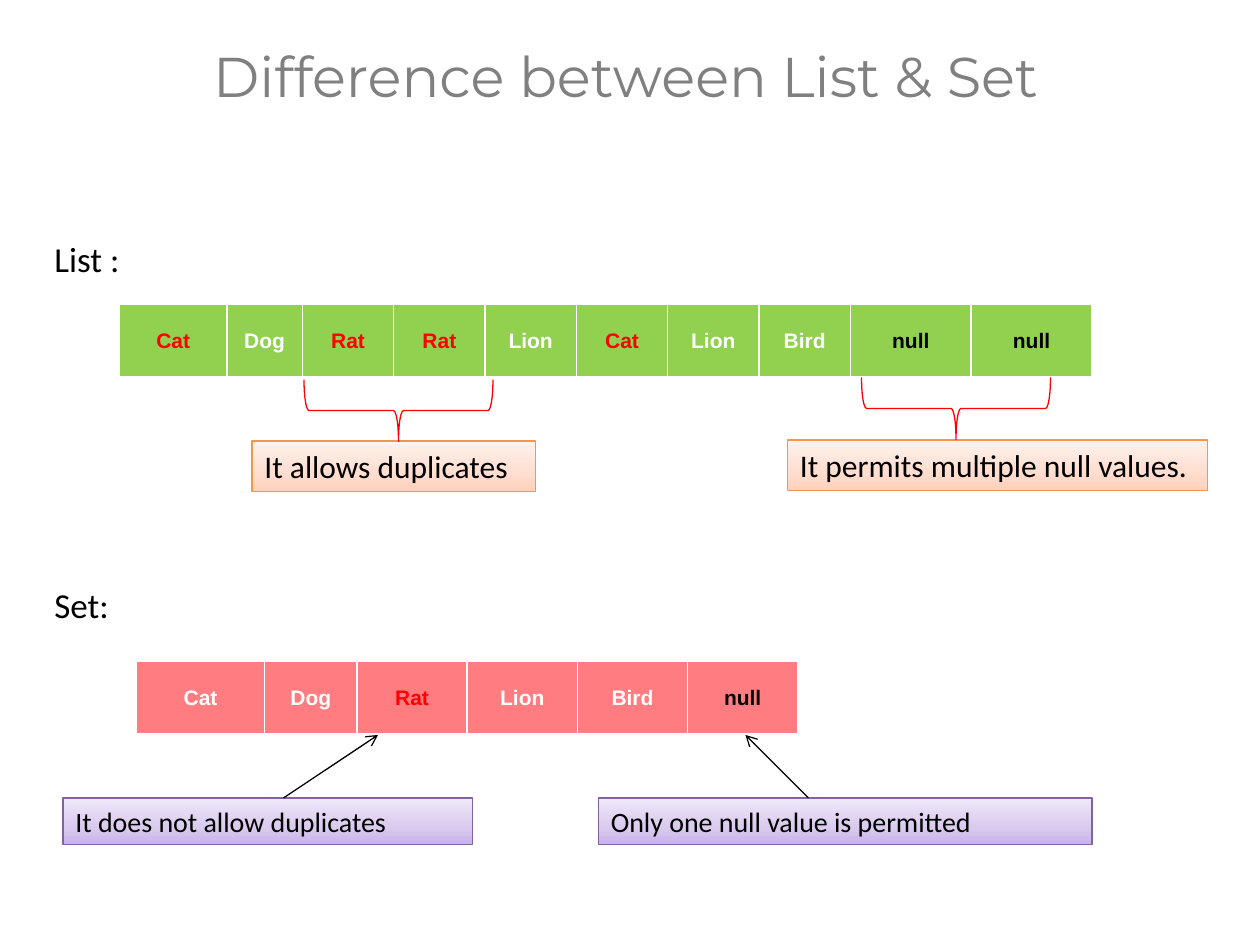
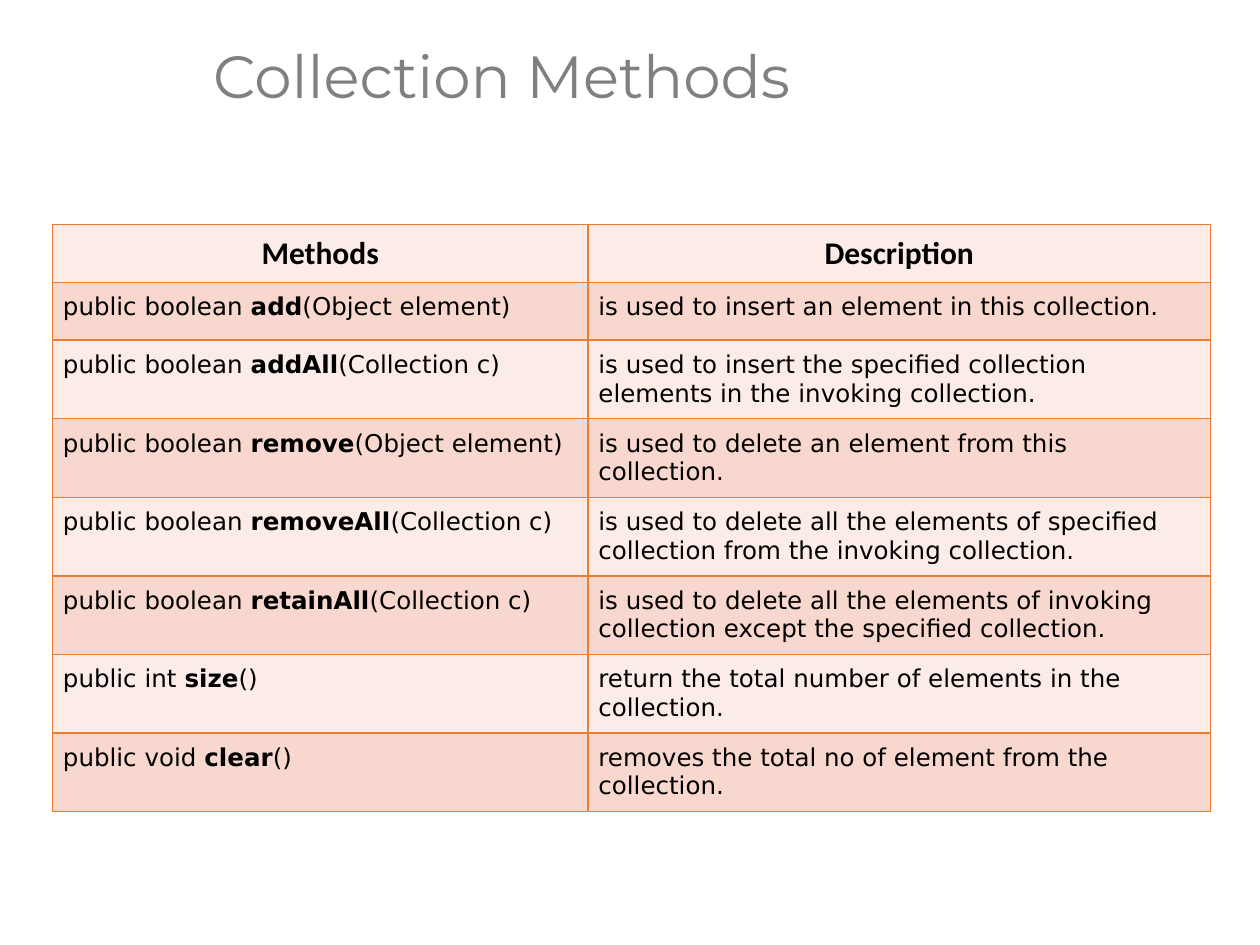
from dataclasses import dataclass

from lxml import etree
from pptx import Presentation
from pptx.dml.color import RGBColor
from pptx.enum.shapes import MSO_CONNECTOR, MSO_SHAPE
from pptx.enum.text import MSO_ANCHOR, MSO_AUTO_SIZE, PP_ALIGN
from pptx.oxml import parse_xml
from pptx.oxml.ns import nsdecls, qn
from pptx.util import Inches, Pt

LEFT, MID = PP_ALIGN.LEFT, PP_ALIGN.CENTER
TOP, CENTER = MSO_ANCHOR.TOP, MSO_ANCHOR.MIDDLE
GROW, FIXED = MSO_AUTO_SIZE.SHAPE_TO_FIT_TEXT, MSO_AUTO_SIZE.NONE
RECT, BRACE = MSO_SHAPE.RECTANGLE, MSO_SHAPE.RIGHT_BRACE
LINE = MSO_CONNECTOR.STRAIGHT


@dataclass(frozen=True)
class Theme:
    # Colours
    black: str = "000000"
    white: str = "FFFFFF"
    red: str = "FF0000"
    gray: str = "808080"
    green: str = "92D050"
    pink: str = "FF7C80"
    rule: str = "ED7D31"
    bands: tuple = ("FCECE8", "F8D7CE")
    peach: tuple = ("F79646", "FFD1BB", "FFDDCF", "FFF2ED")
    lilac: tuple = ("8064A2", "C8B3E9", "D9CAEE", "EFE8FA")
    # Fonts and sizes
    label: tuple = ("Calibri", 20)
    note: tuple = ("Calibri", 18)
    small: tuple = ("Calibri", 16)
    head: tuple = ("Calibri", 18)
    item: tuple = ("Arial", 12)
    code: tuple = ("DejaVu Sans", 14)
    thin: float = 0.75


T = Theme()
deck = Presentation()
deck.slide_width, deck.slide_height = Inches(10), Inches(7.5)

# The grid has 120 columns and 90 rows of equal size
UNIT = deck.slide_width / 120


def at(*cells):
    return [round(n * UNIT) for n in cells]


def put(frame, runs, style, align=LEFT):
    para = frame.paragraphs[0]
    para.alignment = align
    frame.word_wrap = True
    for text, color, bold in runs:
        run = para.add_run()
        run.text = text
        run.font.name, run.font.size = style[0], Pt(style[1])
        run.font.bold = bold
        run.font.color.rgb = RGBColor.from_string(color)


# Slides and titles
pages = []
for text, size in (("Difference between List & Set", 32), ("Collection Methods", 34)):
    page = deck.slides.add_slide(deck.slide_layouts[5])
    title = page.shapes.title
    title.left, title.top, title.width, title.height = at(19.1, 0.1, 100.9, 14.9)
    frame = title.text_frame
    put(frame, [(text, T.gray, False)], ("Montserrat", size))
    frame.auto_size, frame.vertical_anchor = FIXED, CENTER
    frame.paragraphs[0].line_spacing = 0.9
    pages.append(page)
sets, calls = pages

# Rows of animals: place, column widths, fill, words, words in red
strips = [
    ((11.4, 29), [10.2, 7.2] + [8.7] * 6, T.green,
     "Cat Dog Rat Rat Lion Cat Lion Bird", ("Cat", "Rat")),
    ((81, 29), [11.5] * 2, T.green, "null null", ()),
    ((13, 63), [12.2, 8.8] + [10.5] * 4, T.pink,
     "Cat Dog Rat Lion Bird null", ("Rat",)),
]

# Methods: return type, name, arguments, description
methods = [
    ("boolean", "add", "Object element",
     "is used to insert an element in this collection."),
    ("boolean", "addAll", "Collection c",
     "is used to insert the specified collection elements in the invoking collection."),
    ("boolean", "remove", "Object element",
     "is used to delete an element from this collection."),
    ("boolean", "removeAll", "Collection c",
     "is used to delete all the elements of specified collection from the invoking collection."),
    ("boolean", "retainAll", "Collection c",
     "is used to delete all the elements of invoking collection except the specified collection."),
    ("int", "size", "", "return the total number of elements in the collection."),
    ("void", "clear", "", "removes the total no of element from the collection."),
]

# Gather every table as rows of cells, each cell a list of runs
grids = []
for spot, cols, fill, words, reds in strips:
    row = []
    for word in words.split():
        color = T.black if word == "null" else T.red if word in reds else T.white
        row.append([(word, color, True)])
    grids.append((sets, spot, cols, 7, [row], (fill,), T.white, 3))

rows = [[[(text, T.black, True)] for text in ("Methods", "Description")]]
for kind, name, args, text in methods:
    rows.append([
        [(f"public {kind} ", T.black, False), (name, T.black, True),
         (f"({args})", T.black, False)],
        [(text, T.black, False)],
    ])
grids.append((calls, (5, 21.4), [51, 59.3], 5.5, rows, T.bands, T.rule, 1))

# Draw the tables
for page, spot, cols, high, rows, fills, edge, base in grids:
    box = at(*spot, sum(cols), high * len(rows))
    table = page.shapes.add_table(len(rows), len(cols), *box).table
    table.first_row = table.horz_banding = False
    for col, wide in zip(table.columns, at(*cols)):
        col.width = wide
    for r, row in enumerate(rows):
        table.rows[r].height = at(high)[0]
        for c, runs in enumerate(row):
            cell = table.cell(r, c)
            cell.fill.solid()
            cell.fill.fore_color.rgb = RGBColor.from_string(fills[r % len(fills)])
            body = r > 0
            cell.vertical_anchor = TOP if body else CENTER
            if body:
                cell.margin_left = cell.margin_right = at(1)[0]
                cell.margin_top = cell.margin_bottom = at(1)[0]
            style = T.item if page is sets else T.code if body else T.head
            put(cell.text_frame, runs, style, LEFT if body else MID)
            for i, side in enumerate("LRTB"):
                width = Pt(base if side == "B" else 1)
                cell._tc.get_or_add_tcPr().insert(i, parse_xml(
                    f'<a:ln{side} {nsdecls("a")} w="{width}"><a:solidFill>'
                    f'<a:srgbClr val="{edge}"/></a:solidFill></a:ln{side}>'))

# Labels above the rows
for text, y in (("List :", 22), ("Set:", 55)):
    label = sets.shapes.add_textbox(*at(4, y, 17, 5.25))
    put(label.text_frame, [(text, T.black, False)], T.label)
    label.text_frame.auto_size = GROW

# Notes with a gradient that runs from bottom to top
for text, box, tint, style in (
    ("It allows duplicates", (24, 42, 27, 4.8), T.peach, T.note),
    ("It permits multiple null values.", (75, 41.9, 40, 4.8), T.peach, T.note),
    ("It does not allow duplicates", (6, 76, 39, 4.4), T.lilac, T.small),
    ("Only one null value is permitted", (57, 76, 47, 4.4), T.lilac, T.small),
):
    note = sets.shapes.add_shape(RECT, *at(*box))
    note.shadow.inherit = False
    note.fill.gradient()
    note.fill.gradient_angle = 90
    stops = note._element.spPr.find(".//" + qn("a:gsLst"))
    stops.clear()
    for pos, color in zip((0, 35, 100), tint[1:]):
        stop = etree.SubElement(stops, qn("a:gs"), pos=str(pos * 1000))
        etree.SubElement(stop, qn("a:srgbClr"), val=color)
    note.line.color.rgb = RGBColor.from_string(tint[0])
    note.line.width = Pt(T.thin)
    put(note.text_frame, [(text, T.black, False)], style)
    note.text_frame.vertical_anchor = TOP
    note.text_frame.auto_size = GROW

# Braces under the list
for x, y in ((35, 30.1), (88.1, 29.9)):
    brace = sets.shapes.add_shape(BRACE, *at(x, y, 5.9, 18))
    brace.rotation = 90
    brace.adjustments[0] = 0.08
    brace.shadow.inherit = False
    brace.fill.background()
    brace.line.color.rgb = RGBColor.from_string(T.red)
    brace.line.width = Pt(T.thin)

# Arrows from the notes up to the set
for start, end in ((27, 36), (77, 71)):
    arrow = sets.shapes.add_connector(LINE, *at(start, 76, end, 70))
    arrow.line.color.rgb = RGBColor.from_string(T.black)
    arrow.line.width = Pt(T.thin)
    etree.SubElement(arrow.line._get_or_add_ln(), qn("a:tailEnd"), type="arrow")
    etree.SubElement(arrow._element.spPr, qn("a:effectLst"))

deck.save("out.pptx")
